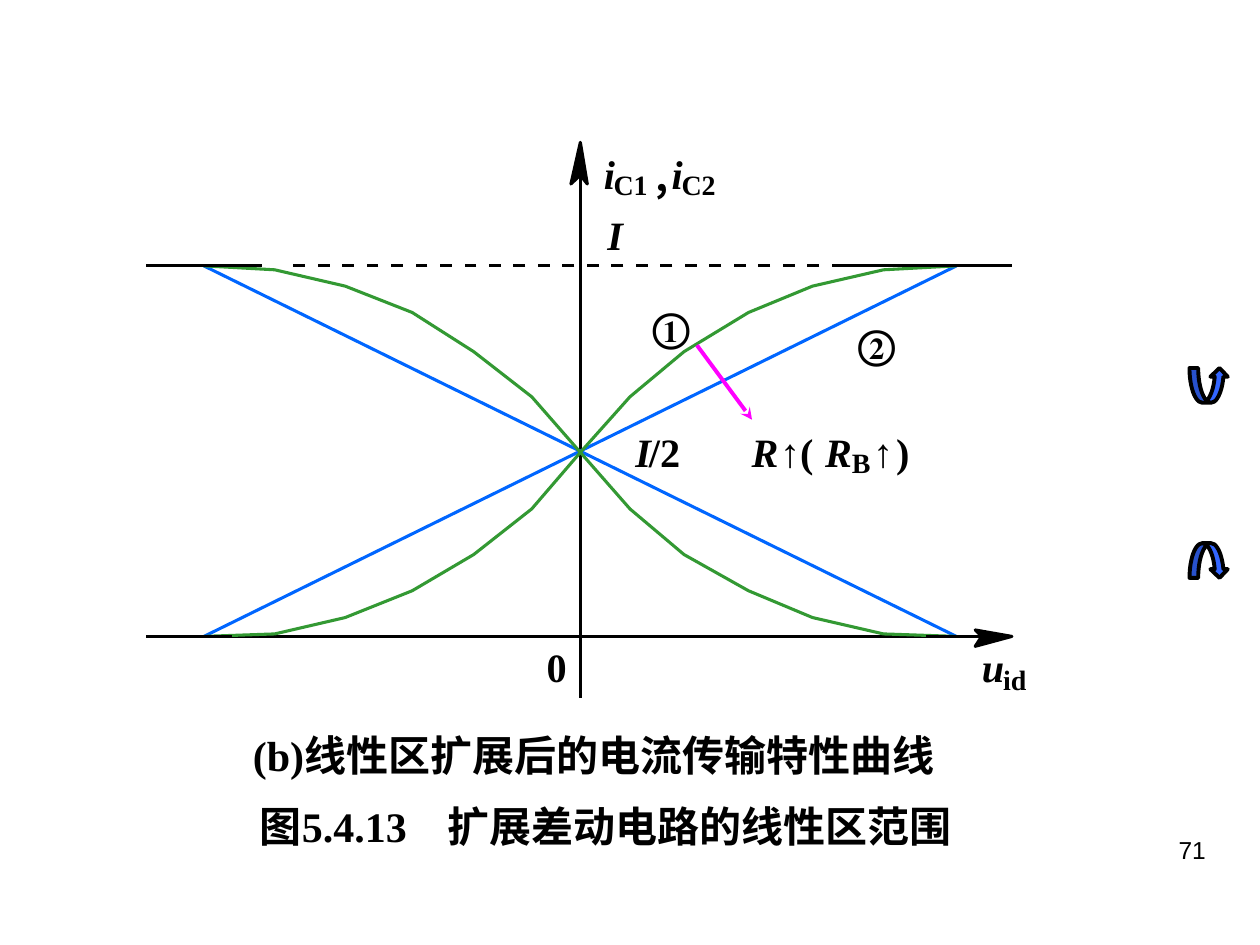
"""Builds a slide on the widened linear range of a differential circuit."""
from lxml import etree
from pptx import Presentation
from pptx.dml.color import RGBColor
from pptx.enum.shapes import MSO_CONNECTOR, MSO_SHAPE
from pptx.enum.text import MSO_ANCHOR, MSO_AUTO_SIZE, PP_ALIGN
from pptx.oxml.ns import qn
from pptx.util import Cm, Pt

LINE = MSO_CONNECTOR.STRAIGHT
UP, DOWN = MSO_SHAPE.CURVED_UP_ARROW, MSO_SHAPE.CURVED_DOWN_ARROW
LEFT, MID, RIGHT = PP_ALIGN.LEFT, PP_ALIGN.CENTER, PP_ALIGN.RIGHT
THEME = {
    "ink": "000000", "blue": "0066FF", "green": "339933",
    "pink": "FF00FF", "icon": "3366FF",
    "serif": "Times New Roman", "sans": "Arial", "cjk": "Noto Sans CJK SC",
    "label": 23, "sub": 16, "title": 24, "page": 14,
    "thin": 1.75, "thick": 2.25,
}

TITLE = "图5.4.13\t扩展差动电路的线性区范围"
NOTE = "(b)线性区扩展后的电流传输特性曲线"
PAGE = "71"

WEST, EAST = 2.95, 20.4
TOP, BASE, AXIS = 5.36, 12.83, 11.7
CURVE_X = (
    (4.11, 5.54, 6.96, 8.31, 9.55, 10.72, AXIS),
    (19.28, 17.81, 16.38, 15.09, 13.79, 12.7, AXIS),
)
CURVE_Y = (
    (TOP, 5.44, 5.77, 6.3, 7.09, 8, 9.12),
    (BASE, 12.78, 12.45, 11.91, 11.18, 10.26, 9.12),
)
HEADS = (
    ((11.51, 3.71), (AXIS, 3.53), (11.84, 3.71), (AXIS, 2.87)),
    ((19.66, 12.7), (19.79, BASE), (19.66, 13.03), (EAST, BASE)),
)
AXES = ((EAST, BASE, WEST, BASE), (AXIS, 14.07, AXIS, 3.51))
SLOPES = ((4.11, TOP, 19.28, BASE), (19.28, TOP, 4.11, BASE))
RAILS = (
    (EAST, TOP, 16.94, TOP), (5.28, TOP, WEST, TOP),
    (WEST, BASE, 4.67, BASE), (18.36, TOP, EAST, TOP),
    (18.67, BASE, EAST, BASE),
)
DASH = {"first": 17.5, "last": 6.15, "count": 24, "size": 0.24}
SHIFT = (15.16, 8.46, 14.05, 6.96)
ICONS = ((DOWN, 10.95), (UP, 7.42))

LABELS = {
    "var": (
        ("i", 12.17, 3, 0.23), ("i", 13.54, 3, 0.23),
        ("I", 12.24, 4.24, 0.33), ("I", 12.8, 8.61, 0.33),
        ("R", 15.16, 8.61, 0.53), ("R", 16.64, 8.61, 0.53),
        ("u", 19.79, 12.95, 0.46),
    ),
    "plain": (
        ("①", 13.13, 6.1, 0.81), ("②", 17.27, 6.43, 0.81),
        ("/2", 13.08, 8.61, 0.64), ("↑( ", 15.72, 8.61, 0.89),
        ("↑", 17.6, 8.61, 0.41), (")", 18.06, 8.61, 0.28),
        ("0", 11.02, 12.95, 0.41),
    ),
    "comma": ((",", 13.23, 3.05, 0.25),),
    "sub": (
        ("C1", 12.37, 3.38, 0.69), ("C2", 13.74, 3.38, 0.69),
        ("B", 17.17, 8.99, 0.38), ("id", 20.22, 13.36, 0.48),
    ),
}
STYLES = {
    "var": ("label", "serif", True), "plain": ("label", "serif", False),
    "comma": ("label", "cjk", False), "sub": ("sub", "serif", False),
}


def tone(name):
    return RGBColor.from_string(THEME[name])


def pen(line, hue, width="thin"):
    line.color.rgb = tone(hue)
    line.width = Pt(THEME[width])


def stroke(slide, ends, hue="ink", width="thin"):
    wire = slide.shapes.add_connector(LINE, *map(Cm, ends))
    pen(wire.line, hue, width)
    etree.SubElement(wire.element.spPr, qn("a:effectLst"))
    return wire


def trace(slide, dots, hue, solid=False):
    dots = [(Cm(x), Cm(y)) for x, y in dots]
    pencil = slide.shapes.build_freeform(*dots[0])
    pencil.add_line_segments(dots[1:], close=solid)
    shape = pencil.convert_to_shape()
    shape.shadow.inherit = False
    pen(shape.line, hue)
    if solid:
        shape.fill.solid()
        shape.fill.fore_color.rgb = tone(hue)
    else:
        shape.fill.background()


def write(shape, text, size, face="serif", align=MID, bold=True,
          slant=False, wrap=False, inset=None, tab=None):
    frame = shape.text_frame
    frame.text = text
    frame.word_wrap = wrap
    frame.auto_size = MSO_AUTO_SIZE.NONE
    frame.vertical_anchor = MSO_ANCHOR.TOP
    if inset is not None:
        frame.margin_left = frame.margin_right = Cm(inset)
        frame.margin_top = frame.margin_bottom = Cm(min(inset, 0.13))
    para = frame.paragraphs[0]
    para.alignment = align
    para.line_spacing = 1.0
    if tab:
        stops = etree.SubElement(para._p.get_or_add_pPr(), qn("a:tabLst"))
        etree.SubElement(stops, qn("a:tab"), pos=str(Cm(tab)), algn="l")
    font = para.font
    font.name, font.size = THEME[face], Pt(THEME[size])
    font.bold, font.italic = bold, slant
    font.color.rgb = tone("ink")


def box(slide, *place):
    return slide.shapes.add_textbox(*map(Cm, place))


def draw_plot(slide):
    for ends in AXES:
        stroke(slide, ends)
    for ends in SLOPES:
        stroke(slide, ends, "blue")
    for xs in CURVE_X:
        for ys in CURVE_Y:
            trace(slide, zip(xs, ys), "green")
    step = (DASH["first"] - DASH["last"]) / (DASH["count"] - 1)
    for i in range(DASH["count"]):
        x = DASH["first"] - i * step
        stroke(slide, (x, TOP, x - DASH["size"], TOP))
    for ends in RAILS:
        stroke(slide, ends)
    for dots in HEADS:
        trace(slide, dots, "ink", solid=True)
    arrow = stroke(slide, SHIFT, "pink", "thick")
    etree.SubElement(arrow.line._get_or_add_ln(), qn("a:headEnd"),
                     type="stealth")


def draw_text(slide):
    for kind, rows in LABELS.items():
        size, face, slant = STYLES[kind]
        high = 0.69 if kind == "sub" else 0.97
        for text, x, y, wide in rows:
            write(box(slide, x, y, wide, high), text, size, face,
                  slant=slant, inset=0)
    title = slide.shapes.title
    title.left, title.top = Cm(4.8), Cm(16)
    title.width, title.height = Cm(15.19), Cm(1.27)
    write(title, TITLE, "title", align=LEFT, wrap=True, inset=0.44, tab=3.79)
    write(box(slide, 4.65, 14.58, 14.63, 1.27), NOTE, "title")
    write(box(slide, 18.21, 16.71, 6.35, 1.32), PAGE, "page", "sans",
          RIGHT, bold=False, wrap=True)


def draw_icons(slide):
    for kind, y in ICONS:
        icon = slide.shapes.add_shape(kind, Cm(23.98), Cm(y), Cm(0.78), Cm(0.7))
        icon.shadow.inherit = False
        icon.fill.solid()
        icon.fill.fore_color.rgb = tone("icon")
        pen(icon.line, "ink", "thick")


def main():
    deck = Presentation()
    deck.slide_width, deck.slide_height = Cm(25.4), Cm(19.05)
    slide = deck.slides.add_slide(deck.slide_layouts[5])
    draw_icons(slide)
    draw_plot(slide)
    draw_text(slide)
    deck.save("out.pptx")


if __name__ == "__main__":
    main()
